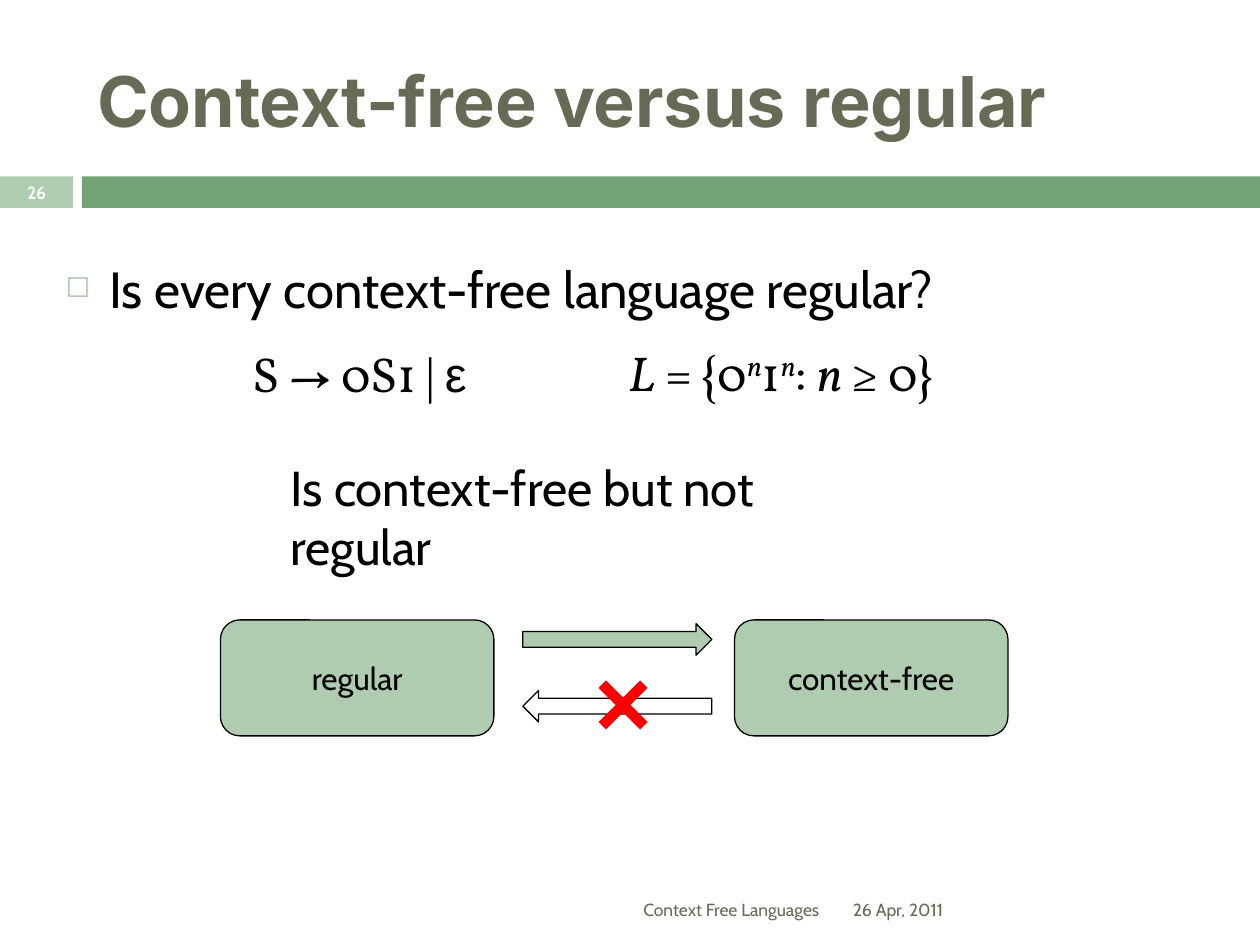
from lxml import etree
from pptx import Presentation
from pptx.dml.color import RGBColor
from pptx.enum.shapes import MSO_CONNECTOR as CONN, MSO_SHAPE as SHAPE
from pptx.enum.text import MSO_ANCHOR as ANCHOR, MSO_AUTO_SIZE as FIT, PP_ALIGN as ALIGN
from pptx.oxml.ns import qn
from pptx.util import Inches, Pt

COLORS = {"pale": "B0CCB0", "green": "72A376", "olive": "676A55",
          "black": "000000", "white": "FFFFFF", "red": "FF0000"}


def rgb(name):
    """Return the named colour."""
    return RGBColor.from_string(COLORS[name])


def write(tf, runs, size=28, font="Cabin", color="black", bold=False,
          align=ALIGN.LEFT, anchor=ANCHOR.TOP, wrap=True, fit=FIT.NONE):
    """Fill a text frame with runs, each a string or (string, options)."""
    tf.word_wrap, tf.vertical_anchor, tf.auto_size = wrap, anchor, fit
    p = tf.paragraphs[0]
    p.alignment = align
    for item in [runs] if isinstance(runs, str) else runs:
        text, opts = (item, {}) if isinstance(item, str) else item
        r = p.add_run()
        r.text = text
        r.font.name, r.font.size = opts.get("font", font), Pt(size)
        r.font.bold, r.font.italic = bold, opts.get("italic", False)
        r.font.color.rgb = rgb(color)
        if opts.get("sup"):
            r._r.get_or_add_rPr().set("baseline", "30000")
    return p


class Deck:
    """Holds the presentation, its current slide and the drawing style."""

    def __init__(self):
        self.prs = Presentation()
        self.prs.slide_width, self.prs.slide_height = Inches(10), Inches(7.5)
        self.s = self.prs.slides.add_slide(self.prs.slide_layouts[5])

    def title(self, box, text, **fmt):
        """Place and fill the title placeholder."""
        sp = self.s.shapes.title
        sp.left, sp.top, sp.width, sp.height = map(Inches, box)
        write(sp.text_frame, text, anchor=ANCHOR.MIDDLE, **fmt)

    def text(self, box, runs, **fmt):
        """Add a text box and return its paragraph."""
        sp = self.s.shapes.add_textbox(*map(Inches, box))
        return write(sp.text_frame, runs, **fmt)

    def bullet(self, box, text, **fmt):
        """Add a text box with a hollow square bullet."""
        p = self.text(box, text, **fmt)
        p.space_before = Pt(7)
        pPr = p._p.get_or_add_pPr()
        pPr.set("marL", str(Inches(0.35)))
        pPr.set("indent", str(-Inches(0.35)))
        clr = etree.SubElement(pPr, qn("a:buClr"))
        etree.SubElement(clr, qn("a:srgbClr"), val=COLORS["pale"])
        etree.SubElement(pPr, qn("a:buSzPct"), val="60000")
        etree.SubElement(pPr, qn("a:buChar"), char="◻")

    def shape(self, kind, box, fill=None, line=None, text=None):
        """Add a preset shape, optionally filled, outlined and labelled."""
        sp = self.s.shapes.add_shape(kind, *map(Inches, box))
        sp.shadow.inherit = False
        if fill:
            sp.fill.solid()
            sp.fill.fore_color.rgb = rgb(fill)
        else:
            sp.fill.background()
        if line:
            sp.line.color.rgb, sp.line.width = rgb(line), Pt(0.75)
        else:
            sp.line.fill.background()
        if text:
            write(sp.text_frame, text, size=18, align=ALIGN.CENTER,
                  anchor=ANCHOR.MIDDLE, wrap=False)

    def line(self, ends, color, width):
        """Add a straight line without a shadow."""
        c = self.s.shapes.add_connector(CONN.STRAIGHT, *map(Inches, ends))
        c.line.color.rgb, c.line.width = rgb(color), Pt(width)
        etree.SubElement(c._element.spPr, qn("a:effectLst"))


def build():
    """Build and save the slide."""
    deck = Deck()
    deck.shape(SHAPE.RECTANGLE, (0, 1.4, 0.58, 0.25), "pale")
    deck.shape(SHAPE.RECTANGLE, (0.65, 1.4, 9.35, 0.25), "green")
    deck.title((0.67, 0.25, 8.92, 1.08), "Context-free versus regular",
               size=40, font="Inter", color="olive", bold=True)
    deck.bullet((0.42, 2, 9.14, 0.61), "Is every context-free language regular?", size=29)

    math = {"font": "Vollkorn", "wrap": False, "fit": FIT.SHAPE_TO_FIT_TEXT}
    italic, power = {"italic": True}, {"italic": True, "sup": True}
    deck.text((1.91, 2.68, 2.1, 0.57), ["S → 0S1 | ", ("ε", {"font": "Arial"})], **math)
    deck.text((4.89, 2.67, 2.89, 0.57),
              [("L", italic), " = {0", ("n", power), "1", ("n", power), ": ",
               ("n", italic), " ≥ 0}"], **math)
    deck.text((2.21, 3.58, 5.04, 0.57), "Is context-free but not regular",
              fit=FIT.SHAPE_TO_FIT_TEXT)

    for x, label in ((1.75, "regular"), (5.83, "context-free")):
        deck.shape(SHAPE.ROUNDED_RECTANGLE, (x, 4.92, 2.17, 0.92), "pale", "black", label)
    deck.shape(SHAPE.RIGHT_ARROW, (4.15, 4.95, 1.5, 0.25), "pale", "black")
    deck.shape(SHAPE.LEFT_ARROW, (4.15, 5.48, 1.5, 0.25), line="black")
    left, top, right, bottom = 4.78, 5.43, 5.11, 5.76
    for x1, x2 in ((left, right), (right, left)):
        deck.line((x1, top, x2, bottom), "red", 6)

    small = {"size": 10, "anchor": ANCHOR.MIDDLE}
    deck.text((6.67, 7.02, 2.92, 0.4), "26 Apr, 2011", color="olive", **small)
    deck.text((0, 1.39, 0.58, 0.27), "26", color="white", bold=True,
              align=ALIGN.CENTER, **small)
    deck.text((0.67, 7.02, 5.93, 0.4), "Context Free Languages", color="olive",
              align=ALIGN.RIGHT, **small)
    deck.prs.save("out.pptx")


build()
